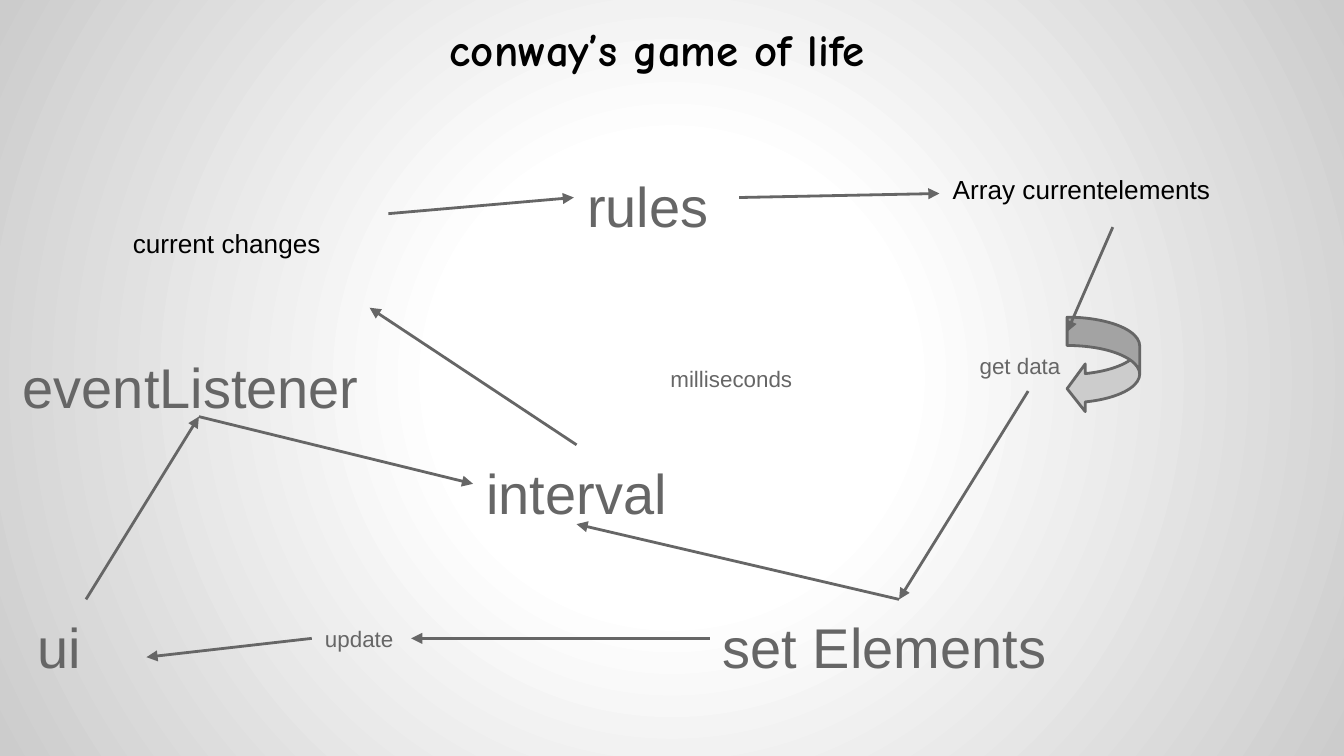
from pptx import Presentation
from pptx.dml.color import RGBColor
from pptx.enum.shapes import MSO_CONNECTOR, MSO_SHAPE
from pptx.enum.text import MSO_ANCHOR, MSO_AUTO_SIZE, PP_ALIGN
from pptx.oxml import parse_xml
from pptx.oxml.ns import nsdecls
from pptx.util import Inches, Pt

UNIT = Inches(0.1)
COLS, ROWS = 100, 56.25
BLACK = RGBColor(0x00, 0x00, 0x00)
GRAY = RGBColor(0x66, 0x66, 0x66)
SILVER = RGBColor(0xCC, 0xCC, 0xCC)
WHITE = RGBColor(0xFF, 0xFF, 0xFF)

HEAD = {"name": "Comic Neue", "size": Pt(24), "bold": True, "color": BLACK}
BIG = {"name": "Arial", "size": Pt(30), "bold": False, "color": GRAY}
SMALL = {**BIG, "size": Pt(12)}
NOTE = {**BIG, "size": Pt(14), "color": BLACK}
FRAME = {
    "word_wrap": True,
    "auto_size": MSO_AUTO_SIZE.NONE,
    **{f"margin_{side}": UNIT for side in ("left", "right", "top", "bottom")},
}

LABELS = [
    ("eventListener", (0.7, 25.2, 28.2, 5.8), BIG),
    ("interval", (35.2, 33.1, 15.6, 5.8), BIG),
    ("get data", (71.9, 25.2, 9.1, 3.9), SMALL),
    ("set Elements", (52.8, 44.6, 28.2, 5.8), BIG),
    ("update", (23.2, 45.5, 7.4, 3.9), SMALL),
    ("milliseconds", (48.9, 26.2, 13.4, 3.9), SMALL),
    ("Array currentelements", (69.9, 11.9, 25.8, 5), NOTE),
    ("current changes", (8.9, 15.9, 40, 5), NOTE),
    ("rules", (42.7, 11.8, 12.3, 5.8), BIG),
]
ARROWS = [
    (6.4, 44.6, 14.8, 31),
    (14.8, 31, 35.2, 36),
    (42.9, 33.1, 27.5, 22.9),
    (76.5, 29.1, 66.9, 44.6),
    (66.9, 44.6, 42.9, 39),
    (52.8, 47.5, 30.6, 47.5),
    (23.2, 47.5, 10.9, 48.9),
    (28.9, 15.9, 42.7, 14.7),
    (55, 14.7, 69.9, 14.4),
    (82.8, 16.9, 79.4, 24.7),
]


def grid(*cells):
    """Turn columns and rows into lengths."""
    return [round(cell * UNIT) for cell in cells]


def assign(target, values):
    """Set each named attribute on the target."""
    for key, value in values.items():
        setattr(target, key, value)


def write(shape, text, box, style, align=PP_ALIGN.LEFT, anchor=MSO_ANCHOR.TOP):
    """Place a text shape and format its words."""
    assign(shape, dict(zip(("left", "top", "width", "height"), grid(*box))))
    frame = shape.text_frame
    assign(frame, {**FRAME, "vertical_anchor": anchor})
    para = frame.paragraphs[0]
    assign(para, {"alignment": align, "space_before": Pt(0)})
    run = para.add_run()
    run.text = text
    assign(run.font, {k: v for k, v in style.items() if k != "color"})
    run.font.color.rgb = style["color"]


def label(slide, text, box, style):
    """Add a free text label."""
    write(slide.shapes.add_textbox(*grid(*box)), text, box, style)


def stroke(line):
    """Give a line the common colour and width."""
    line.color.rgb = GRAY
    line.width = Pt(1.5)


def arrow(slide, ends):
    """Add a straight arrow between two points."""
    link = slide.shapes.add_connector(MSO_CONNECTOR.STRAIGHT, *grid(*ends))
    stroke(link.line)
    tip = parse_xml(f'<a:tailEnd {nsdecls("a")} type="triangle" w="med" len="med"/>')
    link.line._get_or_add_ln().append(tip)
    link._element.spPr.append(parse_xml(f'<a:effectLst {nsdecls("a")}/>'))


def loop(slide, box):
    """Add the arrow that curves back on itself."""
    shape = slide.shapes.add_shape(MSO_SHAPE.CURVED_LEFT_ARROW, *grid(*box))
    shape.shadow.inherit = False
    for index, value in enumerate((0.39, 0.72, 0.25)):
        shape.adjustments[index] = value
    shape.fill.solid()
    shape.fill.fore_color.rgb = SILVER
    stroke(shape.line)


def glow(slide):
    """Fill the background with a radial gradient."""
    stops = "".join(
        f'<a:gs pos="{share * 1000}"><a:srgbClr val="{color}"/></a:gs>'
        for share, color in ((0, WHITE), (30, WHITE), (100, SILVER))
    )
    mid = " ".join(f'{side}="50000"' for side in "ltrb")
    back = parse_xml(
        f'<p:bg {nsdecls("p", "a")}><p:bgPr><a:gradFill rotWithShape="1">'
        f'<a:gsLst>{stops}</a:gsLst><a:path path="circle"><a:fillToRect {mid}/>'
        "</a:path></a:gradFill><a:effectLst/></p:bgPr></p:bg>"
    )
    slide._element.cSld.insert(0, back)


def main():
    """Build the slide and save it."""
    deck = Presentation()
    deck.slide_width, deck.slide_height = grid(COLS, ROWS)
    slide = deck.slides.add_slide(deck.slide_layouts[0])
    glow(slide)
    write(slide.shapes.title, "conway’s game of life", (6.4, 1.4, 85, 5.2),
          HEAD, PP_ALIGN.CENTER, MSO_ANCHOR.BOTTOM)
    write(slide.placeholders[1], "ui", (1.8, 44.6, 9.1, 8.6), BIG)
    for text, box, style in LABELS:
        label(slide, text, box, style)
    loop(slide, (79.4, 23.6, 5.4, 7.1))
    for ends in ARROWS:
        arrow(slide, ends)
    deck.save("out.pptx")


main()
